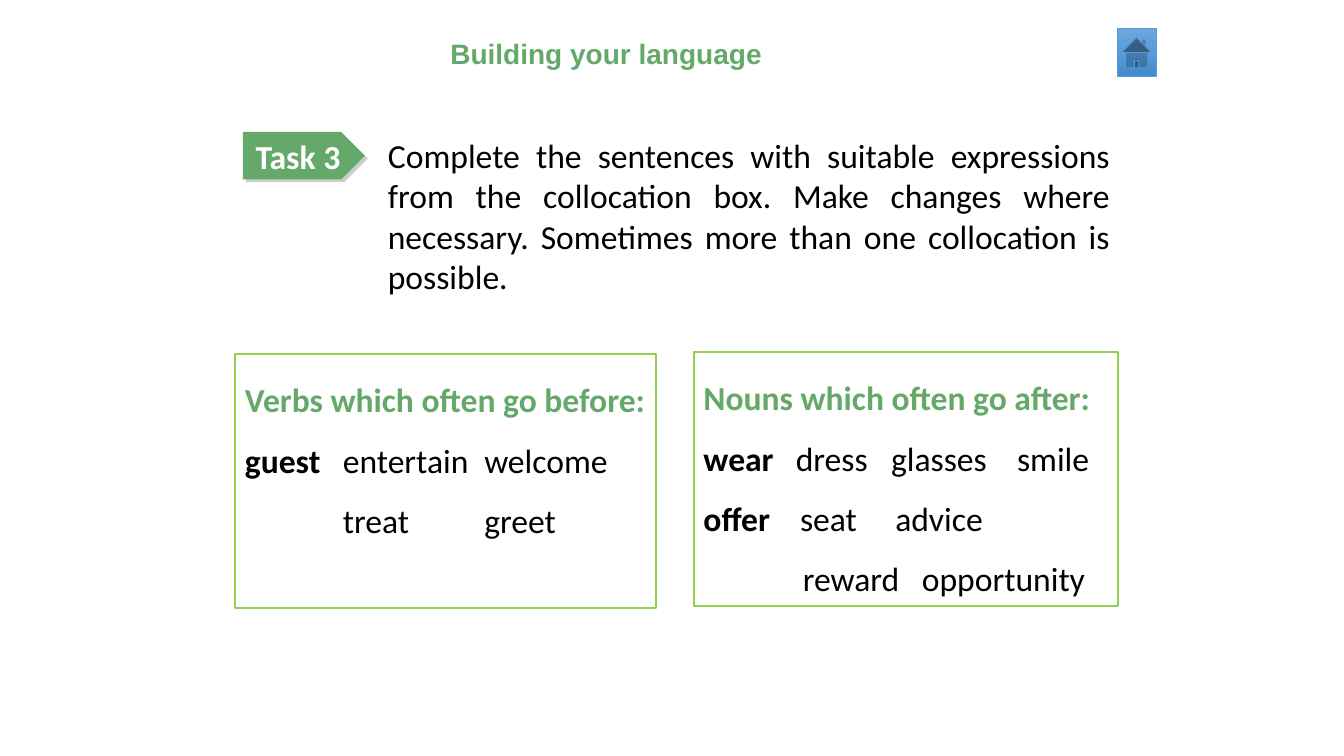
from copy import deepcopy

from lxml import etree
from pptx import Presentation
from pptx.dml import color
from pptx.enum import shapes, text
from pptx.oxml import ns
from pptx.util import Pt

GREEN = color.RGBColor(0x64, 0xA9, 0x6A)
LIME = color.RGBColor(0x92, 0xD0, 0x50)
WHITE = color.RGBColor(0xFF, 0xFF, 0xFF)
BLACK = color.RGBColor(0x00, 0x00, 0x00)
SHADOW = color.RGBColor(0x80, 0x80, 0x80)
BUTTON_LINE = color.RGBColor(0x5B, 0x9B, 0xD5)
BUTTON_STOPS = [
    (0, color.RGBColor(0x71, 0xA6, 0xDB)),
    (0.5, color.RGBColor(0x55, 0x9B, 0xDB)),
    (1, color.RGBColor(0x44, 0x8A, 0xCA)),
]

TASK = (
    "Complete the sentences with suitable expressions from the collocation box. "
    "Make changes where necessary. Sometimes more than one collocation is possible."
)
VERB_LINES = [
    ("guest", [(70, "entertain"), (171, "welcome")]),
    ("", [(70, "treat"), (171, "greet")]),
]
NOUN_LINES = [
    ("wear", [(66, "dress"), (134, "glasses"), (224, "smile")]),
    ("offer", [(69, "seat"), (137, "advice")]),
    ("", [(71, "reward"), (156, "opportunity")]),
]


def style(span, size, shade, bold=False, name="Calibri"):
    span.font.name = name
    span.font.size = Pt(size)
    span.font.bold = bold
    span.font.color.rgb = shade


def add_label(page, place, words, size, shade, bold=False, name="Calibri", align=None):
    box = page.shapes.add_textbox(*map(Pt, place))
    box.text_frame.word_wrap = True
    box.text_frame.text = words
    para = box.text_frame.paragraphs[0]
    para.alignment = align
    style(para.runs[0], size, shade, bold, name)


def add_plain_shape(page, kind, place):
    shape = page.shapes.add_shape(kind, *map(Pt, place))
    shape.shadow.inherit = False
    return shape


def add_task_tag(page, place, words):
    tag = add_plain_shape(page, shapes.MSO_SHAPE.PENTAGON, place)
    tag.fill.solid()
    tag.fill.fore_color.rgb = GREEN
    tag.line.fill.background()
    effects = tag._element.spPr.find(ns.qn("a:effectLst"))
    shadow = etree.SubElement(
        effects, ns.qn("a:outerShdw"), dist=str(Pt(3)), dir="2700000", algn="tl", rotWithShape="0"
    )
    shade = etree.SubElement(shadow, ns.qn("a:srgbClr"), val=str(SHADOW))
    etree.SubElement(shade, ns.qn("a:alpha"), val="40000")
    frame = tag.text_frame
    frame.text = words
    frame.word_wrap = True
    frame.vertical_anchor = text.MSO_ANCHOR.MIDDLE
    frame.paragraphs[0].alignment = text.PP_ALIGN.CENTER
    style(frame.paragraphs[0].runs[0], 24, WHITE, bold=True)


def add_tabs(para, stops):
    tabs = etree.SubElement(para._p.get_or_add_pPr(), ns.qn("a:tabLst"))
    for stop in stops:
        etree.SubElement(tabs, ns.qn("a:tab"), pos=str(Pt(stop)), algn="l")


def add_word_box(page, place, heading, lines):
    box = add_plain_shape(page, shapes.MSO_SHAPE.RECTANGLE, place)
    box.fill.background()
    box.line.color.rgb = LIME
    box.line.width = Pt(1.5)
    frame = box.text_frame
    frame.word_wrap = True
    frame.vertical_anchor = text.MSO_ANCHOR.TOP
    frame.text = heading
    style(frame.paragraphs[0].runs[0], 24, GREEN, bold=True)
    for keyword, partners in lines:
        para = frame.add_paragraph()
        add_tabs(para, [stop for stop, word in partners])
        if keyword:
            span = para.add_run()
            span.text = keyword
            style(span, 24, BLACK, bold=True)
        span = para.add_run()
        span.text = "".join("\t" + word for stop, word in partners)
        style(span, 24, BLACK)
    for para in frame.paragraphs:
        para.alignment = text.PP_ALIGN.LEFT
        para.line_spacing = 1.5


def add_home_button(page, place):
    button = add_plain_shape(page, shapes.MSO_SHAPE.ACTION_BUTTON_HOME, place)
    button.fill.gradient()
    button.fill.gradient_angle = 270
    stop_list = button._element.spPr.find(".//" + ns.qn("a:gsLst"))
    stop_list.insert(1, deepcopy(stop_list[0]))
    for stop, (position, shade) in zip(button.fill.gradient_stops, BUTTON_STOPS):
        stop.position = position
        stop.color.rgb = shade
    button.line.color.rgb = BUTTON_LINE
    button.line.width = Pt(0.5)


def main():
    deck = Presentation()
    deck.slide_width, deck.slide_height = Pt(960), Pt(540)
    page = deck.slides.add_slide(deck.slide_layouts[6])
    add_label(page, (314.6, 22.3, 243.4, 31.7), "Building your language", 20, GREEN, True, "Arial")
    add_task_tag(page, (173.5, 94.3, 87.1, 33.8), "Task 3")
    add_label(page, (270, 92.9, 529.9, 123.8), TASK, 24, BLACK, align=text.PP_ALIGN.JUSTIFY)
    add_word_box(page, (167.8, 252.7, 301, 181.4), "Verbs which often go before:", VERB_LINES)
    add_word_box(page, (495.4, 251.3, 303.1, 181.4), "Nouns which often go after:", NOUN_LINES)
    add_home_button(page, (797.8, 20.2, 28.1, 34.6))
    deck.save("out.pptx")


if __name__ == "__main__":
    main()
